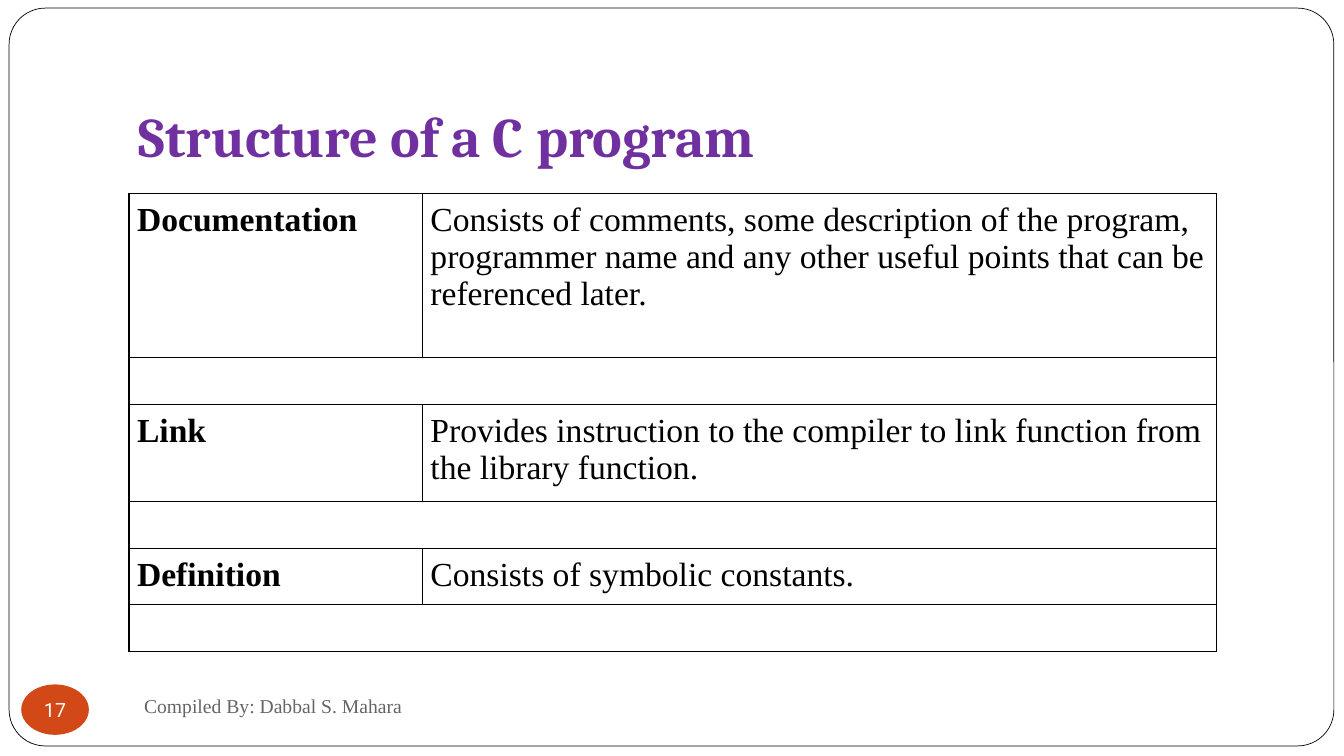
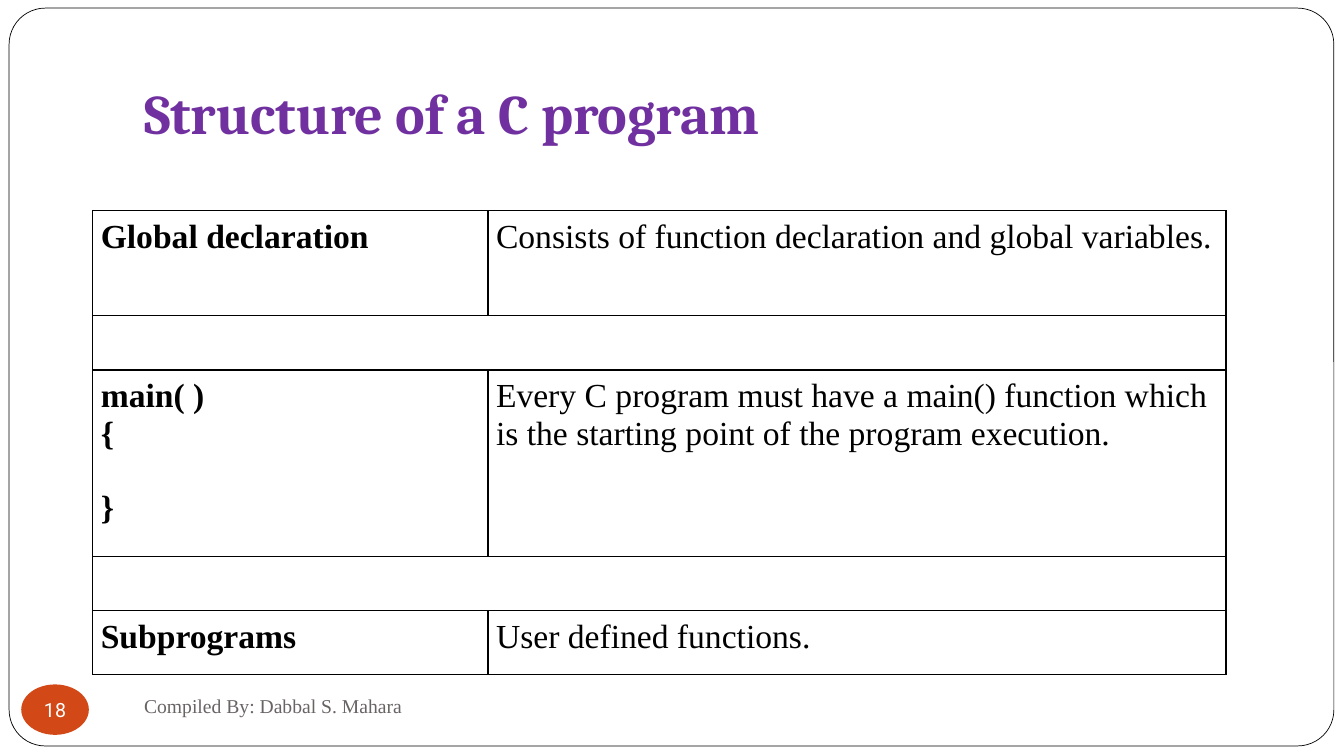
from dataclasses import dataclass

from lxml import etree
from pptx import Presentation
from pptx import util as u
from pptx.dml.color import RGBColor
from pptx.enum import shapes, text
from pptx.oxml import ns

COLORS = {
    "paper": "FFFFFF",
    "ink": "000000",
    "title": "7030A0",
    "badge": "D34817",
    "footer": "696464",
}
SERIF = "Times New Roman"
WIDTH, HEIGHT = u.Inches(13.33), u.Inches(7.5)
CELL_MARGIN = u.Inches(0.08)


@dataclass(frozen=True)
class Area:
    """A rectangle in percent of the slide's width and height."""
    left: float
    top: float
    width: float
    height: float

    def lengths(self) -> tuple[int, int, int, int]:
        return (across(self.left), down(self.top),
                across(self.width), down(self.height))


@dataclass(frozen=True)
class Style:
    font: str
    size: float
    color: str
    bold: bool = False


@dataclass(frozen=True)
class Section:
    """A table row; without a name it is an empty row across both columns."""
    height: float
    name: str = ""
    purpose: str = ""


@dataclass(frozen=True)
class Page:
    number: int
    title_area: Area
    left: float
    top: float
    columns: tuple[float, float]
    sections: tuple[Section, ...]


TITLE = Style("Cambria", 40, "title", True)
NAME = Style(SERIF, 24, "ink", True)
PURPOSE = Style(SERIF, 24, "ink")
BADGE = Style("Roboto", 14, "paper")
FOOTER = Style(SERIF, 14, "footer")

FRAME_AREA = Area(0.68, 1.07, 98.57, 97.6)
BADGE_AREA = Area(1.58, 90.53, 5.03, 6.67)
FOOTER_AREA = Area(9.98, 90, 43.36, 6.67)

GAP = Section(6.2)
WIDE_GAP = Section(7.2)
PAGES = (
    Page(17, Area(9.6, 4.27, 86.27, 19.33), 9.6, 25.6, (21.83, 59.11), (
        Section(21.73, "Documentation",
                "Consists of comments, some description of the program, "
                "programmer name and any other useful points that can be "
                "referenced later."),
        GAP,
        Section(12.4, "Link",
                "Provides instruction to the compiler to link function from "
                "the library function."),
        GAP,
        Section(7, "Definition", "Consists of symbolic constants."),
        GAP,
    )),
    Page(18, Area(9.98, 4, 85, 16.67), 6.9, 27.87, (29.41, 54.91), (
        Section(13.87, "Global declaration",
                "Consists of function declaration and global variables."),
        WIDE_GAP,
        Section(24.67, "main( )\n{\n\n}",
                "Every C program must have a main() function which is the "
                "starting point of the program execution."),
        WIDE_GAP,
        Section(8.4, "Subprograms", "User defined functions."),
    )),
)


def across(percent: float) -> int:
    return round(WIDTH * percent / 100)


def down(percent: float) -> int:
    return round(HEIGHT * percent / 100)


def rgb(name: str) -> RGBColor:
    return RGBColor.from_string(COLORS[name])


def write(frame, words: str, style: Style) -> None:
    para = frame.paragraphs[0]
    para.text = words
    para.font.name = style.font
    para.font.size = u.Pt(style.size)
    para.font.bold = style.bold
    para.font.color.rgb = rgb(style.color)


def add_text(slide, area: Area, words: str, style: Style, anchor):
    frame = slide.shapes.add_textbox(*area.lengths()).text_frame
    frame.word_wrap = True
    frame.vertical_anchor = anchor
    write(frame, words, style)
    return frame


def add_filled(slide, kind, area: Area, color: str):
    shape = slide.shapes.add_shape(kind, *area.lengths())
    shape.shadow.inherit = False
    shape.fill.solid()
    shape.fill.fore_color.rgb = rgb(color)
    shape.line.fill.background()
    return shape


def add_frame(slide) -> None:
    frame = add_filled(slide, shapes.MSO_SHAPE.ROUNDED_RECTANGLE,
                       FRAME_AREA, "paper")
    frame.adjustments[0] = 0.049
    frame.line.color.rgb = rgb("ink")
    frame.line.width = u.Pt(0.5)


def add_badge(slide, number: int) -> None:
    badge = add_filled(slide, shapes.MSO_SHAPE.OVAL, BADGE_AREA, "badge")
    frame = badge.text_frame
    frame.margin_left = frame.margin_right = 0
    frame.margin_top = frame.margin_bottom = 0
    frame.word_wrap = False
    frame.vertical_anchor = text.MSO_ANCHOR.MIDDLE
    write(frame, str(number), BADGE)
    frame.paragraphs[0].alignment = text.PP_ALIGN.CENTER


def style_cell(cell) -> None:
    """Give a cell thin borders on all sides, a plain fill and even margins."""
    properties = cell._tc.get_or_add_tcPr()
    for side in ("a:lnL", "a:lnR", "a:lnT", "a:lnB"):
        line = etree.SubElement(properties, ns.qn(side), w=str(u.Pt(1)))
        fill = etree.SubElement(line, ns.qn("a:solidFill"))
        etree.SubElement(fill, ns.qn("a:srgbClr"), val=COLORS["ink"])
    cell.fill.solid()
    cell.fill.fore_color.rgb = rgb("paper")
    cell.margin_left = cell.margin_right = CELL_MARGIN
    cell.margin_top = cell.margin_bottom = CELL_MARGIN


def add_sections(slide, page: Page) -> None:
    area = Area(page.left, page.top, sum(page.columns),
                sum(section.height for section in page.sections))
    table = slide.shapes.add_table(len(page.sections), len(page.columns),
                                   *area.lengths()).table
    table.first_row = table.horz_banding = False
    for column, width in zip(table.columns, page.columns):
        column.width = across(width)
    for row, section in zip(table.rows, page.sections):
        row.height = down(section.height)
        name, purpose = row.cells
        style_cell(name)
        style_cell(purpose)
        if section.name:
            write(name.text_frame, section.name, NAME)
            write(purpose.text_frame, section.purpose, PURPOSE)
        else:
            name.merge(purpose)


def add_page(deck, page: Page) -> None:
    slide = deck.slides.add_slide(deck.slide_layouts[6])
    add_frame(slide)
    title = add_text(slide, page.title_area, "Structure of a C program",
                     TITLE, text.MSO_ANCHOR.BOTTOM)
    title.margin_bottom = u.Inches(0.1)
    add_sections(slide, page)
    add_badge(slide, page.number)
    add_text(slide, FOOTER_AREA, "Compiled By: Dabbal S. Mahara",
             FOOTER, text.MSO_ANCHOR.MIDDLE)


def main() -> None:
    deck = Presentation()
    deck.slide_width, deck.slide_height = WIDTH, HEIGHT
    for page in PAGES:
        add_page(deck, page)
    deck.save("out.pptx")


if __name__ == "__main__":
    main()
